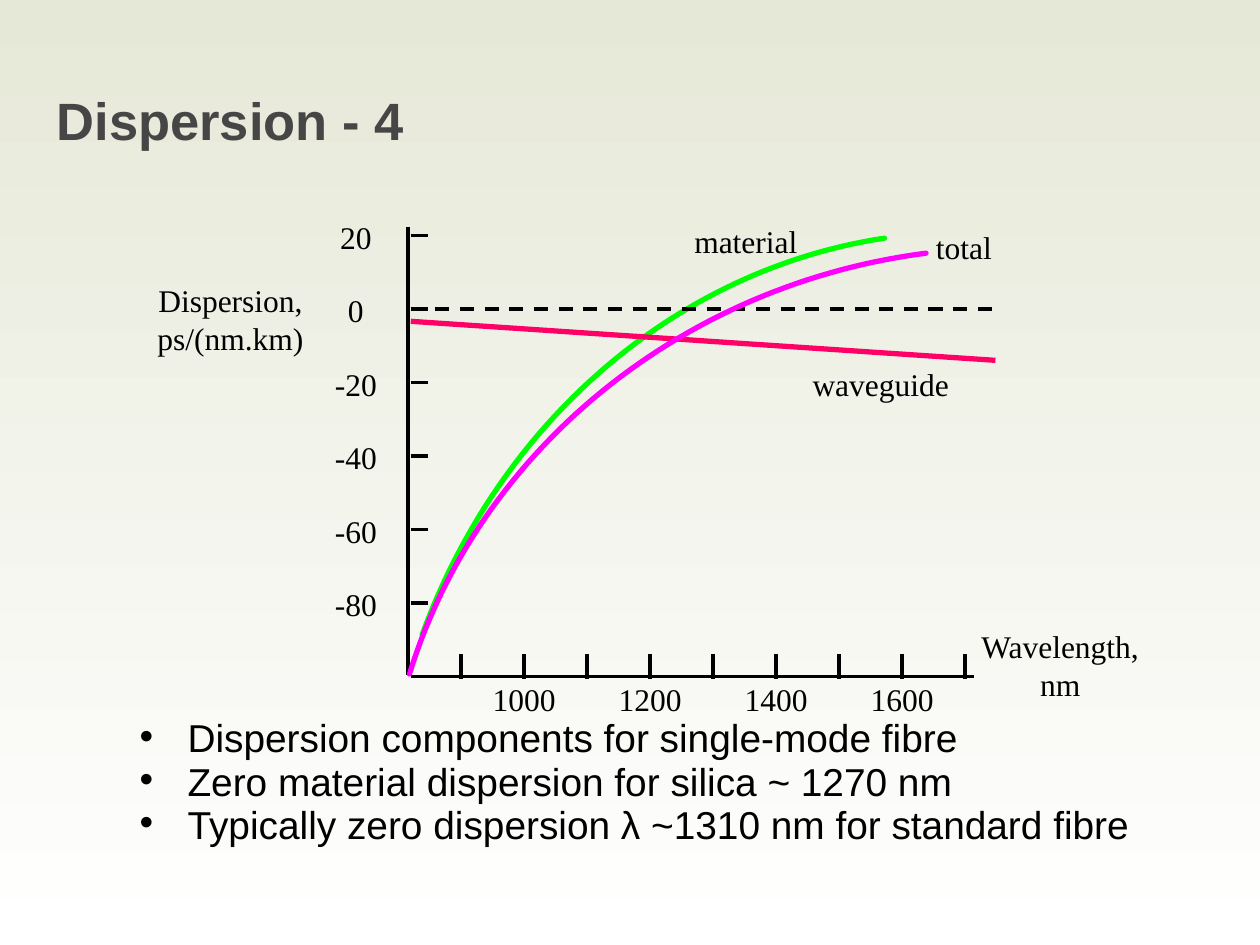
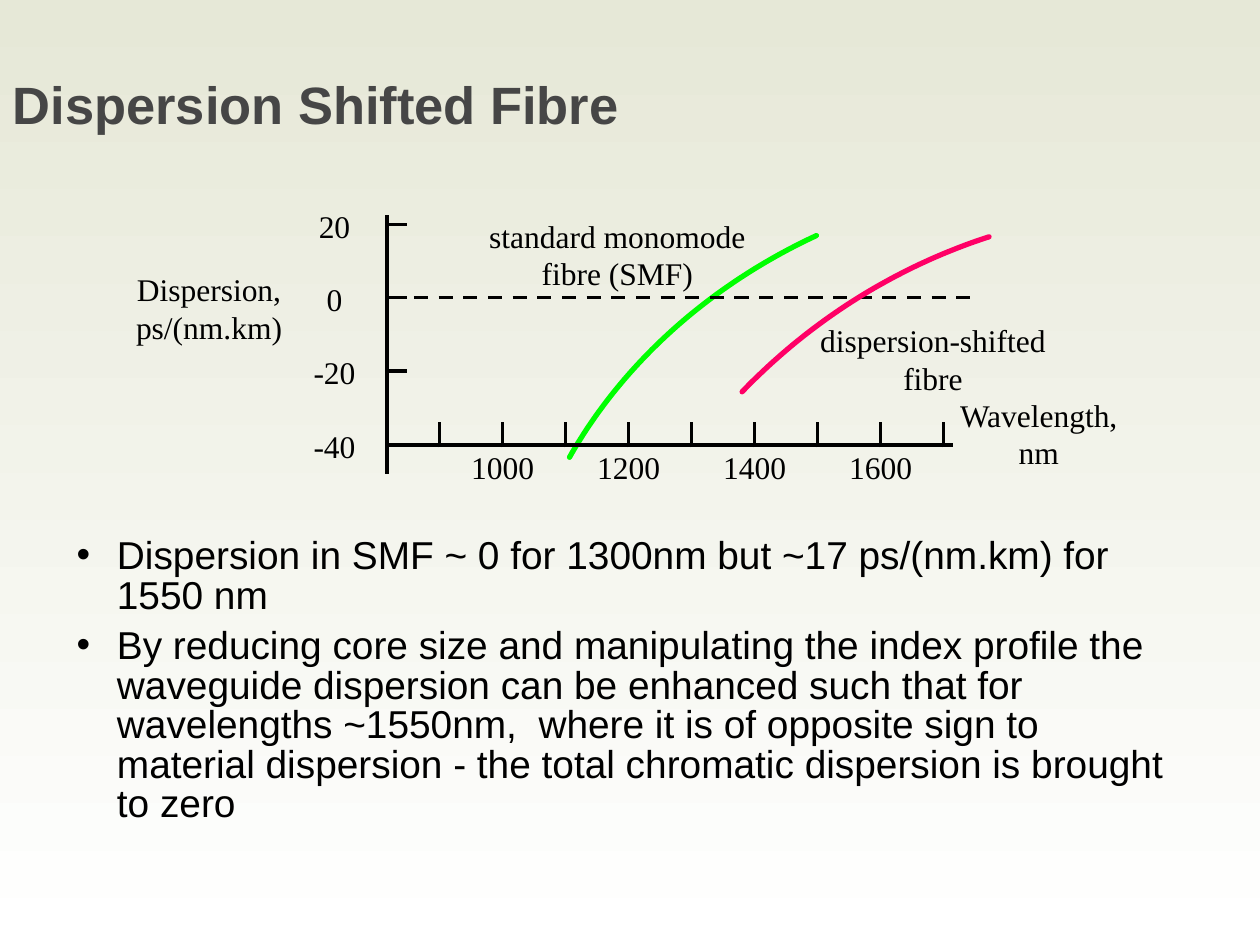
from dataclasses import dataclass

from lxml import etree
from pptx import Presentation
from pptx.dml.color import RGBColor
from pptx.enum.dml import MSO_LINE
from pptx.enum.shapes import MSO_CONNECTOR
from pptx.enum.text import MSO_ANCHOR, MSO_AUTO_SIZE, PP_ALIGN
from pptx.oxml.ns import qn
from pptx.util import Inches, Pt


@dataclass(frozen=True)
class Theme:
    background: tuple = ("E6E8D7", "FFFFFF")
    title: str = "464646"
    ink: str = "000000"
    green: str = "00FF00"
    magenta: str = "FF00FF"
    red: str = "FF0066"
    sans: str = "Arial"
    serif: str = "Times New Roman"
    title_size: float = 30
    bullet_size: float = 22.2
    label_size: float = 18
    axis_width: float = 2
    curve_width: float = 3


THEME = Theme()

# Boxes are left, top, width, height in inches; a curve has four Bézier points,
# a straight one only its two ends. Labels are text, left, top, width.
SLIDES = [
    {
        "title": "Dispersion - 4",
        "title_box": (0.35, 0.52, 8.62, 0.85),
        "title_anchor": MSO_ANCHOR.MIDDLE,
        "axes": {"left": 3.24, "top": 1.8, "bottom": 5.36, "first_tick": 1.87,
                 "floor": -100, "y_values": (20, 0, -20, -40, -60, -80)},
        "curves": [
            (THEME.green, [(3.35, 5.04), (3.97, 3.34), (5.37, 2.14), (7.02, 1.89)]),
            (THEME.red, [(3.26, 2.55), (7.9, 2.86)]),
            (THEME.magenta, [(3.25, 5.35), (3.8, 3.57), (5.41, 2.26), (7.35, 2.01)]),
        ],
        "labels": [("material", 5.41, 1.71, 1.02), ("waveguide", 6.35, 2.85, 1.28),
                   ("total", 7.25, 1.76, 0.8)],
        "bullets": [
            "Dispersion components for single-mode fibre",
            "Zero material dispersion for silica ~ 1270 nm",
            "Typically zero dispersion λ ~1310 nm for standard fibre",
        ],
        "bullet_box": (1.01, 5.72, 8.42, 1.17),
        "bullet_indent": 0.38,
        "line_spacing": 0.7,
    },
    {
        "title": "Dispersion Shifted Fibre",
        "title_box": (0, 0.52, 9.28, 1.42),
        "title_anchor": MSO_ANCHOR.TOP,
        "axes": {"left": 3.07, "top": 1.71, "bottom": 3.76, "first_tick": 1.78,
                 "floor": -40, "y_values": (20, 0, -20, -40)},
        "curves": [
            (THEME.green, [(4.52, 3.63), (4.94, 2.89), (5.62, 2.27), (6.48, 1.87)]),
            (THEME.red, [(5.89, 3.11), (6.44, 2.54), (7.11, 2.12), (7.85, 1.88)]),
        ],
        "labels": [("standard monomode\nfibre (SMF)", 3.7, 1.67, 2.4),
                   ("dispersion-shifted\nfibre", 6.41, 2.5, 1.99)],
        "bullets": [
            "Dispersion in SMF ~ 0 for 1300nm but ~17 ps/(nm.km) for 1550 nm",
            "By reducing core size and manipulating the index profile the waveguide "
            "dispersion can be enhanced such that for wavelengths ~1550nm,  where it is "
            "of opposite sign to material dispersion - the total chromatic dispersion is "
            "brought to zero",
        ],
        "bullet_box": (0.51, 4.22, 8.97, 2.17),
        "bullet_indent": 0.32,
        "line_spacing": 0.85,
    },
]

X_TICKS = range(900, 1701, 100)
X_LABELS = range(1000, 1601, 200)
Y_STEP = 1.75 / 60  # inches per ps/(nm.km)
X_STEP = 0.5 / 100  # inches per nm
X_START = 816  # wavelength at the vertical axis
CURVE_PARTS = 60


def style_font(paragraph, name, size, color, bold=False):
    font = paragraph.font
    font.name, font.size, font.bold = name, Pt(size), bold
    font.color.rgb = RGBColor.from_string(color)


def style_line(line, color, width):
    line.color.rgb = RGBColor.from_string(color)
    line.width = Pt(width)


def add_line(slide, start, end, color=THEME.ink, width=THEME.axis_width):
    points = [Inches(value) for value in (*start, *end)]
    connector = slide.shapes.add_connector(MSO_CONNECTOR.STRAIGHT, *points)
    style_line(connector.line, color, width)
    etree.SubElement(connector._element.spPr, qn("a:effectLst"))
    return connector


def add_curve(slide, color, points):
    if len(points) == 2:
        add_line(slide, *points, color, THEME.curve_width)
        return

    def point_at(t):
        weights = ((1 - t) ** 3, 3 * t * (1 - t) ** 2, 3 * t * t * (1 - t), t ** 3)
        return [Inches(sum(w * value for w, value in zip(weights, axis)))
                for axis in zip(*points)]

    start, *others = [point_at(i / CURVE_PARTS) for i in range(CURVE_PARTS + 1)]
    builder = slide.shapes.build_freeform(*start)
    builder.add_line_segments(others, close=False)
    curve = builder.convert_to_shape()
    curve.shadow.inherit = False
    curve.fill.background()
    style_line(curve.line, color, THEME.curve_width)
    curve.line._get_or_add_ln().set("cap", "rnd")


def add_label(slide, text, left, top, width):
    lines = text.split("\n")
    height = 0.1 + 0.3 * len(lines)
    box = slide.shapes.add_textbox(*map(Inches, (left, top, width, height)))
    box.text_frame.word_wrap = False
    box.text_frame.auto_size = MSO_AUTO_SIZE.SHAPE_TO_FIT_TEXT
    box.text_frame.text = text
    for paragraph in box.text_frame.paragraphs:
        paragraph.alignment = PP_ALIGN.CENTER
        style_font(paragraph, THEME.serif, THEME.label_size, THEME.ink)


def add_axes(slide, left, top, bottom, first_tick, floor, y_values):
    def y_of(value):
        return first_tick + (20 - value) * Y_STEP

    def x_of(wavelength):
        return left + (wavelength - X_START) * X_STEP

    base, zero, inner = y_of(floor), y_of(0), left + 0.02
    add_line(slide, (left, top), (left, bottom))
    add_line(slide, (inner, base), (left + 4.49, base))
    for wavelength in X_TICKS:
        x = x_of(wavelength)
        add_line(slide, (x, base + 0.02), (x, base - 0.18))
    for wavelength in X_LABELS:
        add_label(slide, str(wavelength), x_of(wavelength) - 0.35, base - 0.02, 0.7)
    for value in y_values:
        y = y_of(value)
        add_line(slide, (inner, y), (left + 0.16, y))
        add_label(slide, str(value), left - 0.68, y - 0.19, 0.53)
    add_label(slide, "Wavelength,\nnm", left + 4.44, base - 0.44, 1.47)
    add_label(slide, "Dispersion,\nps/(nm.km)", left - 2.09, zero - 0.27, 1.36)
    add_line(slide, (inner, zero), (left + 4.66, zero)).line.dash_style = MSO_LINE.DASH


def place_title(slide, text, box, anchor):
    title = slide.shapes.title
    title.left, title.top, title.width, title.height = map(Inches, box)
    frame = title.text_frame
    frame.text = text
    frame.auto_size = MSO_AUTO_SIZE.NONE
    frame.vertical_anchor = anchor
    frame.paragraphs[0].alignment = PP_ALIGN.LEFT
    style_font(frame.paragraphs[0], THEME.sans, THEME.title_size, THEME.title, bold=True)


def add_bullets(slide, texts, box, indent, line_spacing):
    frame = slide.shapes.add_textbox(*map(Inches, box)).text_frame
    frame.word_wrap = True
    frame.text = "\n".join(texts)
    for index, paragraph in enumerate(frame.paragraphs):
        properties = paragraph._p.get_or_add_pPr()
        properties.set("marL", str(Inches(indent)))
        properties.set("indent", str(-Inches(indent)))
        etree.SubElement(properties, qn("a:buFont"), typeface=THEME.sans)
        etree.SubElement(properties, qn("a:buChar"), char="•")
        paragraph.line_spacing = line_spacing
        paragraph.space_before = Pt(6 if index else 0)
        style_font(paragraph, THEME.sans, THEME.bullet_size, THEME.ink)


def set_background(master):
    fill = master.background.fill
    fill.gradient()
    fill.gradient_angle = 270
    for stop, color in zip(fill.gradient_stops, THEME.background):
        stop.color.rgb = RGBColor.from_string(color)


def main():
    presentation = Presentation()
    presentation.slide_width, presentation.slide_height = Inches(10), Inches(7.5)
    set_background(presentation.slide_master)
    for content in SLIDES:
        slide = presentation.slides.add_slide(presentation.slide_layouts[5])
        place_title(slide, content["title"], content["title_box"], content["title_anchor"])
        add_bullets(slide, content["bullets"], content["bullet_box"],
                    content["bullet_indent"], content["line_spacing"])
        first_curve, *front_curves = content["curves"]
        add_curve(slide, *first_curve)
        add_axes(slide, **content["axes"])
        for curve in front_curves:
            add_curve(slide, *curve)
        for label in content["labels"]:
            add_label(slide, *label)
    presentation.save("out.pptx")


if __name__ == "__main__":
    main()
